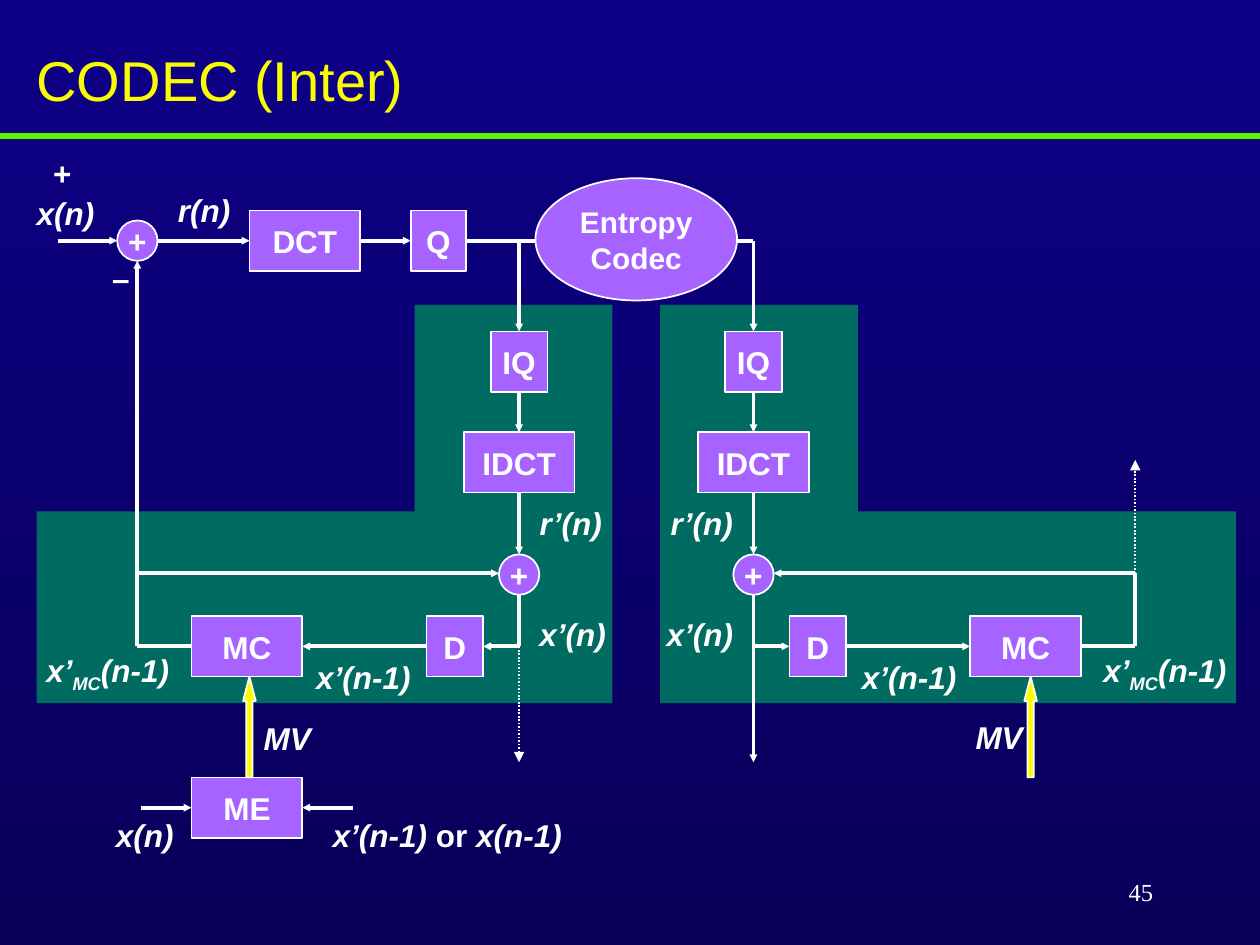
from lxml.etree import SubElement
from pptx import Presentation
from pptx.dml.color import RGBColor
from pptx.enum.dml import MSO_LINE
from pptx.enum.shapes import MSO_CONNECTOR, MSO_SHAPE
from pptx.enum.text import MSO_ANCHOR, MSO_AUTO_SIZE, PP_ALIGN
from pptx.oxml.ns import qn
from pptx.util import Inches, Pt

WHITE = RGBColor(0xFF, 0xFF, 0xFF)
YELLOW = RGBColor(0xFA, 0xFD, 0x00)
PURPLE = RGBColor(0xA7, 0x63, 0xFF)
TEAL = RGBColor(0x00, 0x6B, 0x61)
GREEN = RGBColor(0x5A, 0xF4, 0x00)
NAVY_TOP = RGBColor(0x0D, 0x00, 0x86)
NAVY_BOTTOM = RGBColor(0x09, 0x00, 0x59)

TOP, RIGHT, BOTTOM, LEFT = 0, 3, 2, 1
AXIS_SUM = 10.1          # the decoder mirrors the encoder: x -> 10.1 - x
BLOCK_H, ADDER_D, LABEL_H = 0.48, 0.32, 0.4
FORWARD, SUM, LOOP, SEARCH = 1.91, 4.56, 5.13, 6.41    # row centres
CORE, FEEDBACK, MOTION = 4.12, 1.09, 1.96              # column centres

# Content. Blocks: name, centre x, centre y, width
ENCODER_BLOCKS = [("DCT", 2.42, FORWARD, 0.88), ("Q", 3.48, FORWARD, 0.44),
                  ("ME", MOTION, SEARCH, 0.88)]
SHARED_BLOCKS = [("IQ", CORE, 2.87, 0.45), ("IDCT", CORE, 3.67, 0.88),
                 ("D", 3.61, LOOP, 0.45), ("MC", MOTION, LOOP, 0.88)]
PANEL = [(4.86, 2.42), (4.86, 5.58), (0.29, 5.58),
         (0.29, 4.06), (3.29, 4.06), (3.29, 2.42)]

# Labels: runs (text, style), left, top, width; i italic, s subscript
SHARED_LABELS = [
    ([("r’(n)", "i")], 4.18, 3.95, 0.7),
    ([("x’(n)", "i")], 4.18, 4.83, 0.73),
    ([("x’(n-1)", "i")], 2.41, 5.17, 0.95),
    ([("x’", "i"), ("MC", "is"), ("(n-1)", "i")], 0.25, 5.14, 1.21),
]
SINGLE_LABELS = [
    ([("x(n)", "i")], 0.19, 1.49, 0.66),
    ([("r(n)", "i")], 1.31, 1.47, 0.62),
    ([("+", "")], 0.32, 1.17, 0.35),
    ([("–", "")], 0.79, 2.01, 0.34),
    ([("MV", "i")], 1.99, 5.66, 0.58),
    ([("MV", "i")], 7.64, 5.65, 0.58),
    ([("x(n)", "i")], 0.82, 6.43, 0.66),
    ([("x’(n-1) ", "i"), ("or ", ""), ("x(n-1)", "i")], 2.53, 6.43, 2.04),
]

# Wires: from, to, style; an end is a point or (block, side)
SHARED_WIRES = [
    ((CORE, FORWARD), ("IQ", TOP), "arrow"),
    (("IQ", BOTTOM), ("IDCT", TOP), "arrow"),
    (("IDCT", BOTTOM), (CORE, 4.4), "arrow"),
    ((CORE, 4.72), (CORE, LOOP), "line"),
    ((CORE, LOOP), ("D", RIGHT), "arrow"),
    (("D", LEFT), ("MC", RIGHT), "arrow"),
    (("MC", LEFT), (FEEDBACK, LOOP), "line"),
    ((FEEDBACK, 4.55), (3.96, 4.55), "arrow"),
]
ENCODER_WIRES = [
    ((0.46, FORWARD), (0.93, FORWARD), "arrow"),
    ((1.25, FORWARD), ("DCT", LEFT), "arrow"),
    (("DCT", RIGHT), ("Q", LEFT), "arrow"),
    (("Q", RIGHT), (AXIS_SUM - CORE, FORWARD), "line"),
    ((FEEDBACK, LOOP), (FEEDBACK, 2.07), "arrow"),
    ((CORE, LOOP), (CORE, 6.05), "dotted"),
    ((1.12, SEARCH), ("ME", LEFT), "arrow"),
    ((2.8, SEARCH), ("ME", RIGHT), "arrow"),
]
DECODER_WIRES = [  # in encoder coordinates, mirrored when drawn
    ((FEEDBACK, LOOP), (FEEDBACK, 4.55), "line"),
    ((CORE, LOOP), (CORE, 6.05), "arrow"),
    ((FEEDBACK, 4.55), (FEEDBACK, 3.65), "dotted"),
]
MOTION_VECTORS = [1.98, 8.18]

prs = Presentation()
prs.slide_width, prs.slide_height = Inches(10), Inches(7.5)
slide = prs.slides.add_slide(prs.slide_layouts[5])
shapes = slide.shapes


def flip(x, mirrored):
    return AXIS_SUM - x if mirrored else x


def write(shape, runs, size=18, color=WHITE, font="Arial", bold=True,
          align=PP_ALIGN.CENTER, anchor=MSO_ANCHOR.MIDDLE, wrap=False):
    frame = shape.text_frame
    frame.word_wrap, frame.auto_size = wrap, MSO_AUTO_SIZE.NONE
    frame.vertical_anchor = anchor
    frame.margin_left = frame.margin_right = Inches(0.1)
    frame.margin_top = frame.margin_bottom = Inches(0.05)
    paragraph = frame.paragraphs[0]
    paragraph.alignment = align
    for text, style in runs:
        run = paragraph.add_run()
        run.text = text
        run.font.name, run.font.size = font, Pt(size)
        run.font.bold, run.font.italic = bold, "i" in style
        run.font.color.rgb = color
        if "s" in style:
            run.font._element.set("baseline", "-25000")


def add_label(runs, left, top, width, height=LABEL_H, **style):
    box = shapes.add_textbox(*map(Inches, (left, top, width, height)))
    write(box, runs, **style)


def paint(shape, fill, outline=WHITE):
    shape.shadow.inherit = False
    shape.fill.solid()
    shape.fill.fore_color.rgb = fill
    if outline is None:
        shape.line.fill.background()
    else:
        shape.line.color.rgb, shape.line.width = outline, Pt(1)


def add_node(kind, cx, cy, width, height, fill=PURPLE):
    node = shapes.add_shape(kind, *map(
        Inches, (cx - width / 2, cy - height / 2, width, height)))
    paint(node, fill)
    return node


def add_wire(start, end, style, blocks=None, mirrored=False, color=WHITE, width=2.25):
    wire = shapes.add_connector(MSO_CONNECTOR.STRAIGHT, 0, 0, 0, 0)
    ends = [(start, "begin"), (end, "end")]
    for point, which in ends:
        if isinstance(point[0], str):
            name, side = point
            if mirrored and side in (LEFT, RIGHT):
                side = LEFT + RIGHT - side
            join = wire.begin_connect if which == "begin" else wire.end_connect
            join(blocks[name], side)
        elif which == "begin":
            wire.begin_x, wire.begin_y = Inches(flip(point[0], mirrored)), Inches(point[1])
        else:
            wire.end_x, wire.end_y = Inches(flip(point[0], mirrored)), Inches(point[1])
    wire.line.color.rgb = color
    wire.line.width = Pt(1 if style == "dotted" else width)
    if style == "dotted":
        wire.line.dash_style = MSO_LINE.ROUND_DOT
    if style != "line":
        head = "med" if style == "dotted" else "sm"
        SubElement(wire.line._get_or_add_ln(), qn("a:tailEnd"),
                   {"type": "triangle", "w": head, "len": head})
    SubElement(wire._element.spPr, qn("a:effectLst"))


def add_adder(cx, cy):
    write(add_node(MSO_SHAPE.OVAL, cx, cy, ADDER_D, ADDER_D), [("+", "")])


# Background, title, rule and page number
background = slide.background.fill
background.gradient()
background.gradient_angle = 270
for stop, color in zip(background.gradient_stops, (NAVY_TOP, NAVY_BOTTOM)):
    stop.color.rgb = color
title = shapes.title
title.left, title.top, title.width, title.height = map(Inches, (0.19, 0.31, 3.14, 0.64))
write(title, [("CODEC (Inter)", "")], size=32, color=YELLOW, bold=False,
      align=PP_ALIGN.LEFT, anchor=MSO_ANCHOR.TOP)
add_wire((0, 1.08), (10, 1.08), "line", color=GREEN, width=3)
add_label([("45", "")], 7.17, 6.83, 2.08, 0.5, size=14, font="Times New Roman",
          bold=False, align=PP_ALIGN.RIGHT)

# Encoder, then its mirrored decoder
for mirrored in (False, True):
    outline = [(Inches(flip(x, mirrored)), Inches(y)) for x, y in PANEL]
    builder = shapes.build_freeform(*outline[0], scale=1.0)
    builder.add_line_segments(outline[1:], close=True)
    paint(builder.convert_to_shape(), TEAL, outline=None)

    blocks = {}
    for name, cx, cy, width in SHARED_BLOCKS + ([] if mirrored else ENCODER_BLOCKS):
        blocks[name] = add_node(MSO_SHAPE.RECTANGLE, flip(cx, mirrored), cy, width, BLOCK_H)
        write(blocks[name], [(name, "")])
    for start, end, style in SHARED_WIRES + (DECODER_WIRES if mirrored else ENCODER_WIRES):
        add_wire(start, end, style, blocks, mirrored)
    add_adder(flip(CORE, mirrored), SUM)
    for runs, left, top, width in SHARED_LABELS:
        add_label(runs, flip(left + width, True) if mirrored else left, top, width)

# Input adder, entropy codec, motion vectors and remaining labels
add_adder(FEEDBACK, FORWARD)
entropy = add_node(MSO_SHAPE.OVAL, 5.05, 1.9, 1.6, 0.97)
write(entropy, [("Entropy Codec", "")], size=17, wrap=True)
for cx in MOTION_VECTORS:
    vector = add_node(MSO_SHAPE.UP_ARROW, cx, 5.77, 0.1, 0.8, YELLOW)
    vector.adjustments[0], vector.adjustments[1] = 0.5, 1.93
for label in SINGLE_LABELS:
    add_label(*label)

prs.save("out.pptx")
